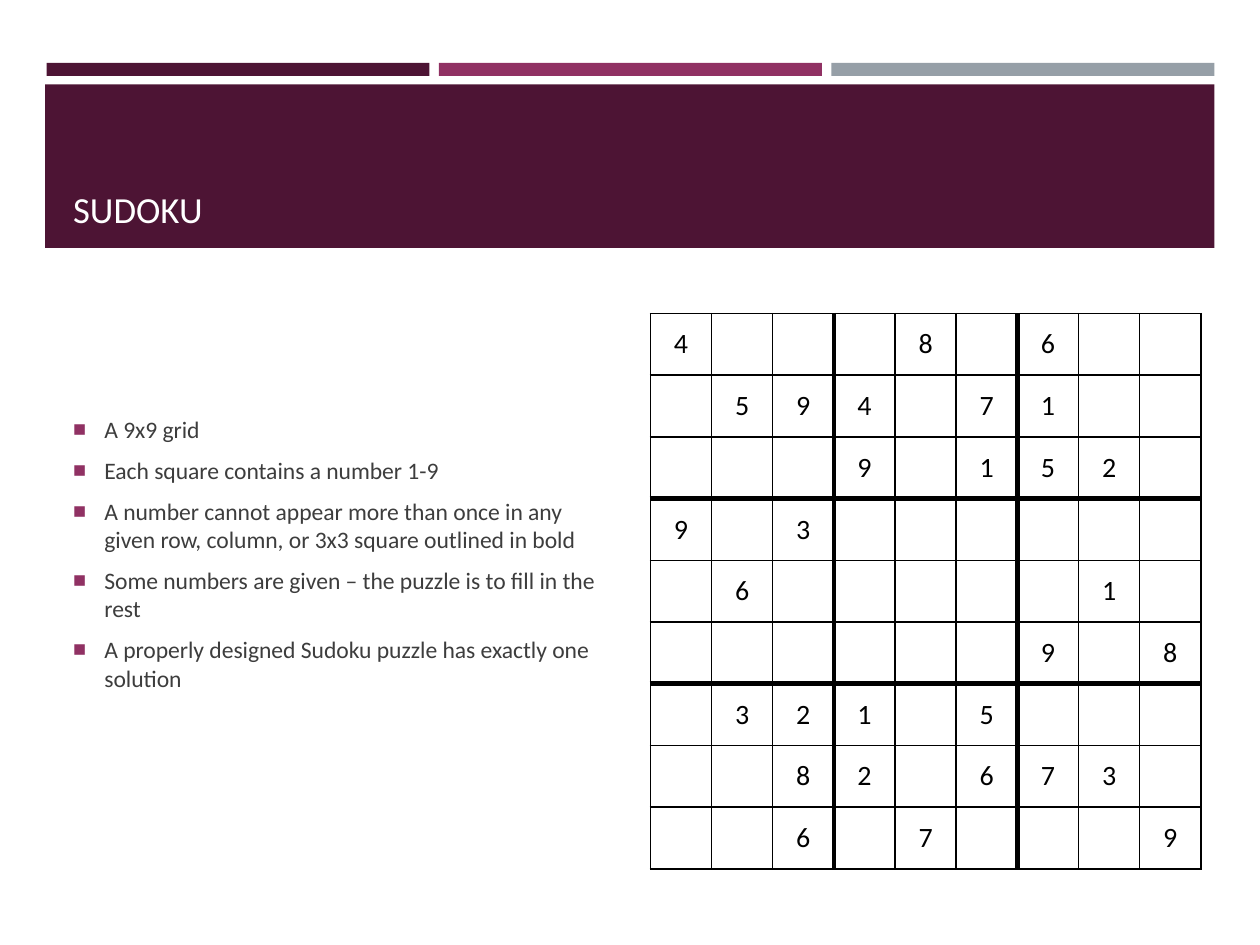
from typing import NamedTuple

from lxml.etree import SubElement
from pptx import Presentation
from pptx.dml.color import RGBColor
from pptx.enum.shapes import MSO_SHAPE
from pptx.enum.text import MSO_ANCHOR, MSO_AUTO_SIZE, PP_ALIGN
from pptx.oxml import parse_xml
from pptx.oxml.ns import nsdecls, qn
from pptx.slide import Slide
from pptx.table import _Cell as Cell
from pptx.text.text import TextFrame
from pptx.util import Cm, Pt

PLUM = RGBColor(0x4D, 0x14, 0x34)
BERRY = RGBColor(0x90, 0x31, 0x63)
GREY = RGBColor(0x96, 0x9F, 0xA7)
DARK = RGBColor(0x3D, 0x3D, 0x3D)
BLACK = RGBColor(0, 0, 0)
WHITE = RGBColor(0xFF, 0xFF, 0xFF)
FONT = "Calibri"
THIN, THICK = Pt(1), Pt(3)
SIZE, BLOCK = 9, 3

RULES = [
    "A 9x9 grid",
    "Each square contains a number 1-9",
    "A number cannot appear more than once in any given row, column, or 3x3 square outlined in bold",
    "Some numbers are given – the puzzle is to fill in the rest",
    "A properly designed Sudoku puzzle has exactly one solution",
]

PUZZLE = [
    "4...8.6..",
    ".594.71..",
    "...9.152.",
    "9.3......",
    ".6.....1.",
    "......9.8",
    ".321.5...",
    "..82.673.",
    "..6.7...9",
]


class Box(NamedTuple):
    left: float
    top: float
    width: float
    height: float

    def place(self) -> list[Cm]:
        return [Cm(side) for side in self]


class Bar(NamedTuple):
    box: Box
    color: RGBColor


BARS = [
    Bar(Box(0.94 + 7.91 * i, 1.27, 7.72, 0.26), color)
    for i, color in enumerate([PLUM, BERRY, GREY])
]
BANNER = Bar(Box(0.91, 1.7, 23.57, 3.3), PLUM)
TITLE = Box(1.22, 1.96, 22.99, 2.82)
BODY = Box(1.22, 6.05, 11.48, 10.21)
GRID = Box(13.11, 6.32, 11.1, 11.2)


def draw_bar(slide: Slide, bar: Bar) -> None:
    shape = slide.shapes.add_shape(MSO_SHAPE.RECTANGLE, *bar.box.place())
    shape.shadow.inherit = False
    shape.fill.solid()
    shape.fill.fore_color.rgb = bar.color
    shape.line.fill.background()
    slide.shapes.element.insert(2, shape.element)


def style(frame: TextFrame, size: float, color: RGBColor, align: PP_ALIGN) -> None:
    for para in frame.paragraphs:
        para.alignment = align
        for run in para.runs:
            run.font.name = FONT
            run.font.size = Pt(size)
            run.font.color.rgb = color


def fill_text(slide: Slide, index: int, box: Box, text: str,
              size: float, color: RGBColor, anchor: MSO_ANCHOR) -> TextFrame:
    holder = slide.placeholders[index]
    holder.left, holder.top, holder.width, holder.height = box.place()
    frame = holder.text_frame
    frame.text = text
    frame.word_wrap = True
    frame.auto_size = MSO_AUTO_SIZE.NONE
    frame.vertical_anchor = anchor
    style(frame, size, color, PP_ALIGN.LEFT)
    return frame


def add_marks(frame: TextFrame) -> None:
    for para in frame.paragraphs:
        para.space_before = Pt(2.7)
        para.space_after = Pt(4.5)
        props = para._p.get_or_add_pPr()
        props.set("marL", str(Cm(0.63)))
        props.set("indent", str(-Cm(0.63)))
        tint = SubElement(props, qn("a:buClr"))
        SubElement(tint, qn("a:srgbClr"), val=str(BERRY))
        SubElement(props, qn("a:buSzPct"), val="92000")
        SubElement(props, qn("a:buChar"), char="■")


def set_edge(cell: Cell, rank: int, side: str, width: int) -> None:
    edge = parse_xml(
        f'<a:ln{side} {nsdecls("a")} w="{width}"><a:solidFill>'
        f'<a:srgbClr val="{BLACK}"/></a:solidFill></a:ln{side}>'
    )
    cell._tc.get_or_add_tcPr().insert(rank, edge)


def edge_width(line: int) -> int:
    return THICK if line % BLOCK == 0 and 0 < line < SIZE else THIN


def draw_grid(slide: Slide, box: Box, puzzle: list[str]) -> None:
    table = slide.shapes.add_table(SIZE, SIZE, *box.place()).table
    table.first_row = table.horz_banding = False
    for row, digits in enumerate(puzzle):
        for col, digit in enumerate(digits):
            cell = table.cell(row, col)
            cell.fill.background()
            cell.vertical_anchor = MSO_ANCHOR.MIDDLE
            cell.text_frame.text = digit.strip(".")
            style(cell.text_frame, 16, BLACK, PP_ALIGN.CENTER)
            lines = {"L": col, "R": col + 1, "T": row, "B": row + 1}
            for rank, (side, line) in enumerate(lines.items()):
                set_edge(cell, rank, side, edge_width(line))


def main() -> None:
    deck = Presentation()
    deck.slide_width, deck.slide_height = Cm(25.4), Cm(19.05)
    slide = deck.slides.add_slide(deck.slide_layouts[1])
    for bar in [BANNER, *BARS]:
        draw_bar(slide, bar)
    fill_text(slide, 0, TITLE, "SUDOKU", 21, WHITE, MSO_ANCHOR.BOTTOM)
    body = fill_text(slide, 1, BODY, "\n".join(RULES), 13.5, DARK, MSO_ANCHOR.MIDDLE)
    add_marks(body)
    draw_grid(slide, GRID, PUZZLE)
    deck.save("out.pptx")


if __name__ == "__main__":
    main()
